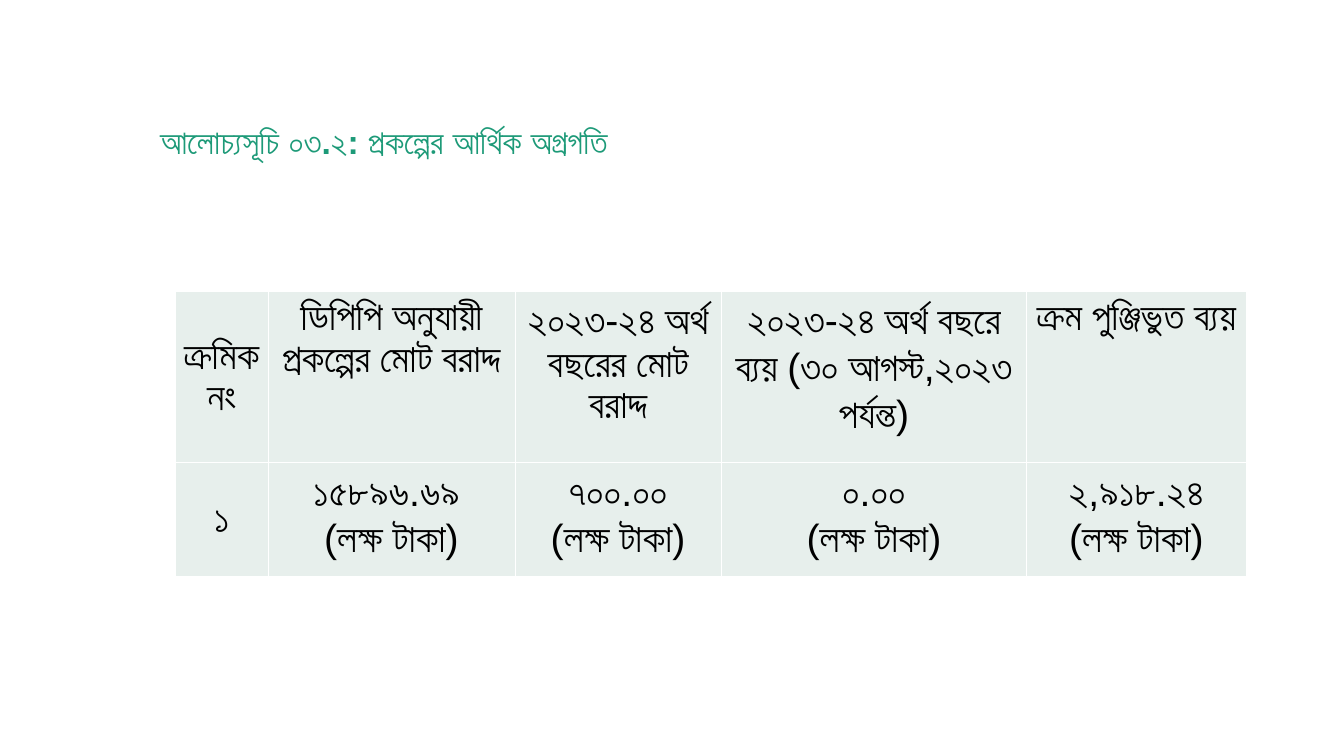
from lxml import etree
from pptx import Presentation
from pptx.dml.color import RGBColor
from pptx.enum.text import MSO_ANCHOR, PP_ALIGN
from pptx.oxml.ns import qn
from pptx.util import Inches, Pt

MIDDLE, TOP = MSO_ANCHOR.MIDDLE, MSO_ANCHOR.TOP
CENTER, LEFT = PP_ALIGN.CENTER, PP_ALIGN.LEFT
COLORS = {"heading": "1D9A78", "text": "000000", "cell": "E7EFEC", "border": "FFFFFF"}
FONT = "Arial"
UNIT = "(লক্ষ টাকা)"
COLUMN_WIDTHS = [0.92, 2.45, 2.05, 3.03, 2.18]
ROW_HEIGHTS = [1.7, 1.13]
ROWS = [
    ["ক্রমিক নং", "ডিপিপি অনুযায়ী প্রকল্পের মোট বরাদ্দ", "২০২৩-২৪ অর্থ বছরের মোট বরাদ্দ",
     "২০২৩-২৪ অর্থ বছরে ব্যয় (৩০ আগস্ট,২০২৩ পর্যন্ত)", "ক্রম পুঞ্জিভুত ব্যয়"],
    ["১", f"১৫৮৯৬.৬৯ \n{UNIT}", f"৭০০.০০\n{UNIT}", f"০.০০\n{UNIT}", f"২,৯১৮.২৪\v{UNIT}"],
]


def write(frame, text, size, color, align, spacing, bold=False):
    frame.text = text
    for paragraph in frame.paragraphs:
        paragraph.alignment = align
        paragraph.line_spacing = spacing
        for run in paragraph.runs:
            run.font.name = FONT
            run.font.size = Pt(size)
            run.font.bold = bold
            run.font.color.rgb = RGBColor.from_string(COLORS[color])


def add_borders(cell):
    properties = cell._tc.get_or_add_tcPr()
    for position, side in enumerate(("a:lnL", "a:lnR", "a:lnT", "a:lnB")):
        line = etree.Element(qn(side), w=str(Pt(0.45)))
        fill = etree.SubElement(line, qn("a:solidFill"))
        etree.SubElement(fill, qn("a:srgbClr"), val=COLORS["border"])
        properties.insert(position, line)


prs = Presentation()
prs.slide_width, prs.slide_height = Inches(13.34), Inches(7.5)
slide = prs.slides.add_slide(prs.slide_layouts[6])

heading = slide.shapes.add_textbox(
    Inches(1.49), Inches(0.94), Inches(10.17), Inches(0.96)).text_frame
heading.word_wrap = True
heading.vertical_anchor = MIDDLE
write(heading, "আলোচ্যসূচি ০৩.২: প্রকল্পের আর্থিক অগ্রগতি", 24, "heading", LEFT, 0.9, bold=True)

progress = slide.shapes.add_table(
    len(ROWS), len(COLUMN_WIDTHS), Inches(1.74), Inches(2.89),
    Inches(sum(COLUMN_WIDTHS)), Inches(sum(ROW_HEIGHTS))).table
for column, width in zip(progress.columns, COLUMN_WIDTHS):
    column.width = Inches(width)
for row, height in zip(progress.rows, ROW_HEIGHTS):
    row.height = Inches(height)

for r, texts in enumerate(ROWS):
    for c, text in enumerate(texts):
        cell = progress.cell(r, c)
        write(cell.text_frame, text, 28, "text", CENTER, 1.07)
        cell.vertical_anchor = MIDDLE if c == 0 else TOP
        cell.margin_left = cell.margin_right = Inches(0.07)
        cell.margin_top = cell.margin_bottom = Inches(0.05)
        cell.fill.solid()
        cell.fill.fore_color.rgb = RGBColor.from_string(COLORS["cell"])
        add_borders(cell)

prs.save("out.pptx")
